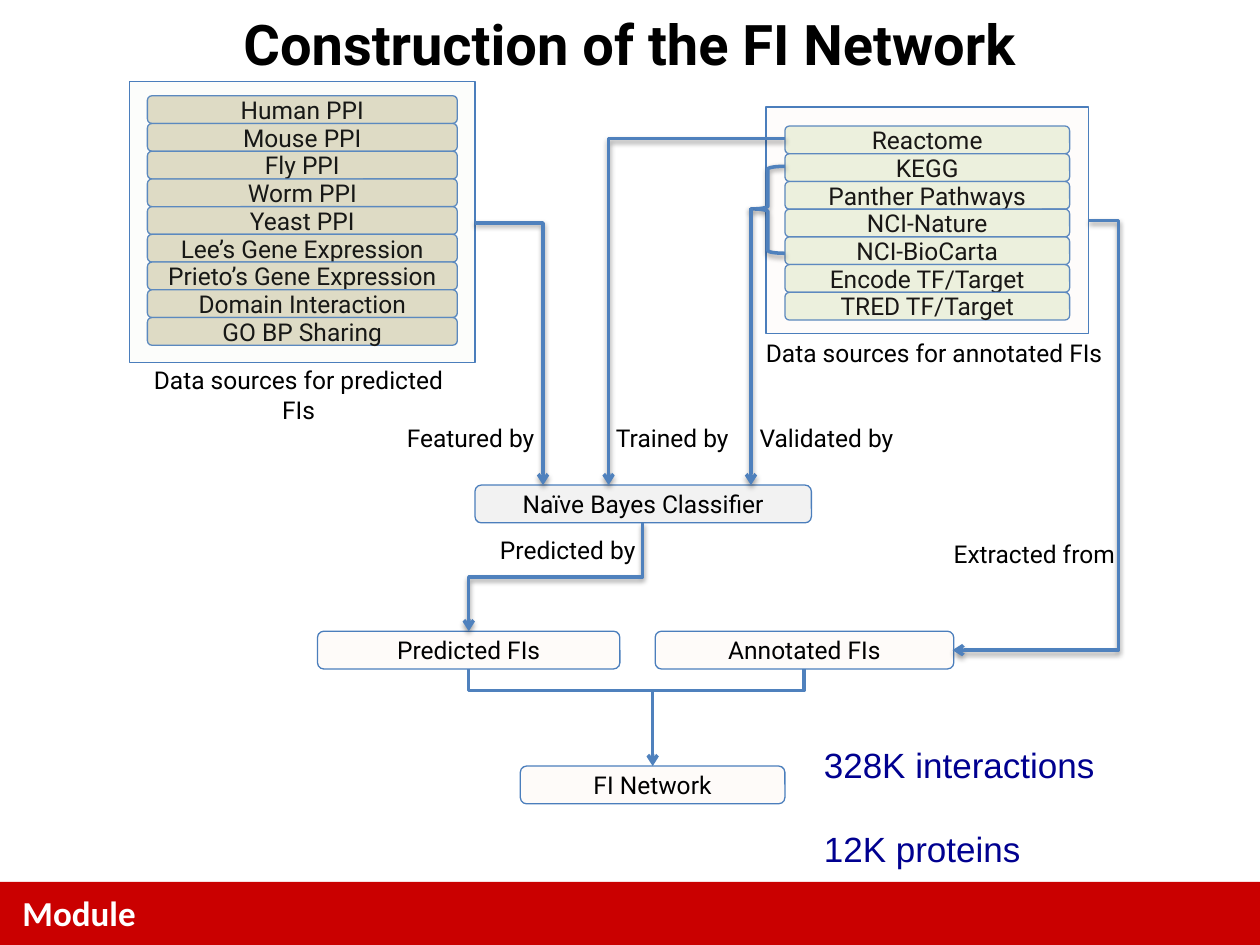
from typing import NamedTuple

from lxml import etree
from pptx import Presentation
from pptx.dml.color import RGBColor
from pptx.enum.shapes import MSO_CONNECTOR, MSO_SHAPE
from pptx.enum.text import MSO_ANCHOR, PP_ALIGN
from pptx.oxml.ns import qn
from pptx.util import Inches, Pt

RECT, ROUND, BRACE = MSO_SHAPE.RECTANGLE, MSO_SHAPE.ROUNDED_RECTANGLE, MSO_SHAPE.LEFT_BRACE
ELBOW, STRAIGHT = MSO_CONNECTOR.ELBOW, MSO_CONNECTOR.STRAIGHT
LEFT, CENTER = PP_ALIGN.LEFT, PP_ALIGN.CENTER
MIDDLE = MSO_ANCHOR.MIDDLE

BLACK = RGBColor(0x00, 0x00, 0x00)
WHITE = RGBColor(0xFF, 0xFF, 0xFF)
RED = RGBColor(0xCA, 0x00, 0x00)
NAVY = RGBColor(0x00, 0x00, 0x90)
EDGE = RGBColor(0x4B, 0x7E, 0xBC)
BLUE = RGBColor(0x4F, 0x81, 0xBD)
TAN = RGBColor(0xDD, 0xD9, 0xC3)
GREEN = RGBColor(0xEB, 0xF1, 0xDE)
PEACH = RGBColor(0xFD, 0xEA, 0xDA)
GRAY = RGBColor(0xF2, 0xF2, 0xF2)

PITCH = 0.22


class Box(NamedTuple):
    left: float
    top: float
    width: float
    height: float
    fill: RGBColor
    text: str = ""
    alpha: int = 100
    kind: int = ROUND


class Label(NamedTuple):
    left: float
    top: float
    width: float
    height: float
    lines: tuple
    wrap: bool = False
    align: int = LEFT
    size: int = 14
    face: str = "Roboto"
    color: RGBColor = BLACK
    bold: bool = False
    gap: int = 0


class Stack(NamedTuple):
    left: float
    top: float
    width: float
    fill: RGBColor
    names: tuple


class Bend(NamedTuple):
    start: tuple
    end: tuple
    turned: bool = False
    adjust: float | None = None


STACKS = (
    Stack(6.23, 1.0, 2.26, GREEN, (
        "Reactome", "KEGG", "Panther Pathways", "NCI-Nature", "NCI-BioCarta",
        "Encode TF/Target", "TRED TF/Target")),
    Stack(1.17, 0.76, 2.46, TAN, (
        "Human PPI", "Mouse PPI", "Fly PPI", "Worm PPI", "Yeast PPI", "Lee’s Gene Expression",
        "Prieto’s Gene Expression", "Domain Interaction", "GO BP Sharing")),
)
BOXES = (
    Box(6.08, 0.85, 2.56, 1.8, PEACH, alpha=10, kind=RECT),
    Box(1.03, 0.65, 2.74, 2.23, GREEN, alpha=10, kind=RECT),
    Box(3.77, 3.85, 2.67, 0.3, GRAY, "Naïve Bayes Classifier"),
    Box(2.52, 5.01, 2.4, 0.3, PEACH, "Predicted FIs", 15),
    Box(5.2, 5.01, 2.37, 0.3, PEACH, "Annotated FIs", 15),
)
GOAL = Box(4.13, 6.08, 2.1, 0.3, PEACH, "FI Network", 15)
LABELS = (
    Label(0.08, 7.03, 7.33, 0.44, ("Module",), True, size=20, face="Calibri",
          color=WHITE, bold=True),
    Label(0, 0.03, 10, 0.6, ("Construction of the FI Network",), True, CENTER, 32, bold=True),
    Label(5.96, 2.63, 2.91, 0.34, ("Data sources for annotated FIs",), True, CENTER),
    Label(0.97, 2.85, 2.8, 0.34, ("Data sources for predicted FIs",), True, CENTER),
    Label(3.13, 3.31, 1.25, 0.34, ("Featured by",)),
    Label(4.79, 3.31, 1.13, 0.34, ("Trained by",)),
    Label(5.93, 3.31, 1.27, 0.34, ("Validated by",)),
    Label(3.87, 4.2, 1.3, 0.34, ("Predicted by",)),
    Label(7.47, 4.23, 1.48, 0.34, ("Extracted from",)),
    Label(6.44, 5.85, 2.37, 0.77, ("328K interactions", "12K proteins"),
          size=20, face="Arial", color=NAVY, gap=24),
)
BENDS = (
    Bend((3.77, 1.77), (4.31, 3.85)),
    Bend((6.23, 1.1), (4.83, 3.85), True, 0),
    Bend((5.1, 4.15), (3.72, 5.01), True, 0.5),
    Bend((8.64, 1.75), (7.56, 5.16), False, -0.22),
)


def add(node, tag: str, **attrs):
    return etree.SubElement(node, qn(tag), {key: str(val) for key, val in attrs.items()})


def shade(shape, shown: bool) -> None:
    glow = add(shape.element.spPr, "a:effectLst")
    if shown:
        drop = add(glow, "a:outerShdw", blurRad=Pt(3.1), dist=Pt(1.6), dir=5400000, rotWithShape=0)
        add(add(drop, "a:srgbClr", val="000000"), "a:alpha", val=38000)


def stroke(shape, arrow: bool, shadow: bool) -> None:
    shape.line.color.rgb = BLUE
    shape.line.width = Pt(2)
    if arrow:
        add(shape.element.spPr.find(qn("a:ln")), "a:tailEnd", type="arrow")
    shade(shape, shadow)


def style(para, size: int, face: str, color: RGBColor, bold: bool = False) -> None:
    font = para.font
    font.size, font.name, font.bold = Pt(size), face, bold
    font.color.rgb = color


def draw_box(shapes, box: Box):
    shape = shapes.add_shape(box.kind, *map(Inches, box[:4]))
    shape.shadow.inherit = False
    shape.fill.solid()
    shape.fill.fore_color.rgb = box.fill
    if box.alpha < 100:
        tint = shape.element.spPr.find(qn("a:solidFill"))[0]
        add(tint, "a:alpha", val=box.alpha * 1000)
    shape.line.color.rgb = EDGE
    shape.line.width = Pt(0.75)
    if box.text:
        frame = shape.text_frame
        frame.margin_top = frame.margin_bottom = 0
        frame.vertical_anchor = MIDDLE
        para = frame.paragraphs[0]
        para.text, para.alignment = box.text, CENTER
        style(para, 14, "Roboto", BLACK)
    return shape


def draw_label(shapes, label: Label) -> None:
    frame = shapes.add_textbox(*map(Inches, label[:4])).text_frame
    frame.word_wrap = label.wrap
    for row, line in enumerate(label.lines):
        para = frame.add_paragraph() if row else frame.paragraphs[0]
        para.text, para.alignment = line, label.align
        if row:
            para.space_before = Pt(label.gap)
        style(para, label.size, label.face, label.color, label.bold)


def draw_bend(shapes, bend: Bend) -> None:
    (x1, y1), (x2, y2) = bend.start, bend.end
    if bend.turned:
        midx, midy = (x1 + x2) / 2, (y1 + y2) / 2
        wide, high = (y2 - y1) / 2, (x1 - x2) / 2
        x1, y1, x2, y2 = midx - wide, midy - high, midx + wide, midy + high
    link = shapes.add_connector(ELBOW, *map(Inches, (x1, y1, x2, y2)))
    props = link.element.spPr
    if bend.turned:
        props.find(qn("a:xfrm")).set("rot", "5400000")
    geom = props.find(qn("a:prstGeom"))
    if bend.adjust is None:
        geom.set("prst", "bentConnector2")
    else:
        guide = f"val {round(bend.adjust * 100000)}"
        add(geom.find(qn("a:avLst")), "a:gd", name="adj1", fmla=guide)
    stroke(link, True, True)


def draw_footer(shapes) -> None:
    bar = shapes.add_shape(RECT, *map(Inches, (0, 7, 10, 0.5)))
    bar.shadow.inherit = False
    bar.fill.solid()
    bar.fill.fore_color.rgb = RED
    bar.line.fill.background()


def draw_merge(shapes) -> None:
    pen = shapes.build_freeform(Inches(3.72), Inches(5.31))
    spots = ((3.72, 5.48), (6.38, 5.48), (6.38, 5.31))
    pen.add_line_segments([(Inches(x), Inches(y)) for x, y in spots], close=False)
    fork = pen.convert_to_shape()
    fork.fill.background()
    stroke(fork, False, False)
    goal = draw_box(shapes, GOAL)
    link = shapes.add_connector(STRAIGHT, *map(Inches, (5.18, 5.48, 5.18, 6.08)))
    link.end_connect(goal, 0)
    stroke(link, True, False)


def main() -> None:
    """Build the slide on how the FI network is constructed."""
    deck = Presentation()
    deck.slide_width, deck.slide_height = Inches(10), Inches(7.5)
    shapes = deck.slides.add_slide(deck.slide_layouts[6]).shapes
    draw_footer(shapes)
    for stack in STACKS:
        for row, name in enumerate(stack.names):
            top = stack.top + row * PITCH
            draw_box(shapes, Box(stack.left, top, stack.width, PITCH, stack.fill, name))
    for box in BOXES:
        draw_box(shapes, box)
    draw_merge(shapes)
    for bend in BENDS:
        draw_bend(shapes, bend)
    brace = shapes.add_shape(BRACE, *map(Inches, (5.96, 1.32, 0.27, 0.69)))
    brace.adjustments[0], brace.adjustments[1] = 0.08, 0.49
    brace.fill.background()
    stroke(brace, False, True)
    check = shapes.add_connector(STRAIGHT, *map(Inches, (5.96, 1.65, 5.96, 3.85)))
    stroke(check, True, True)
    for label in LABELS:
        draw_label(shapes, label)
    deck.save("out.pptx")


if __name__ == "__main__":
    main()
